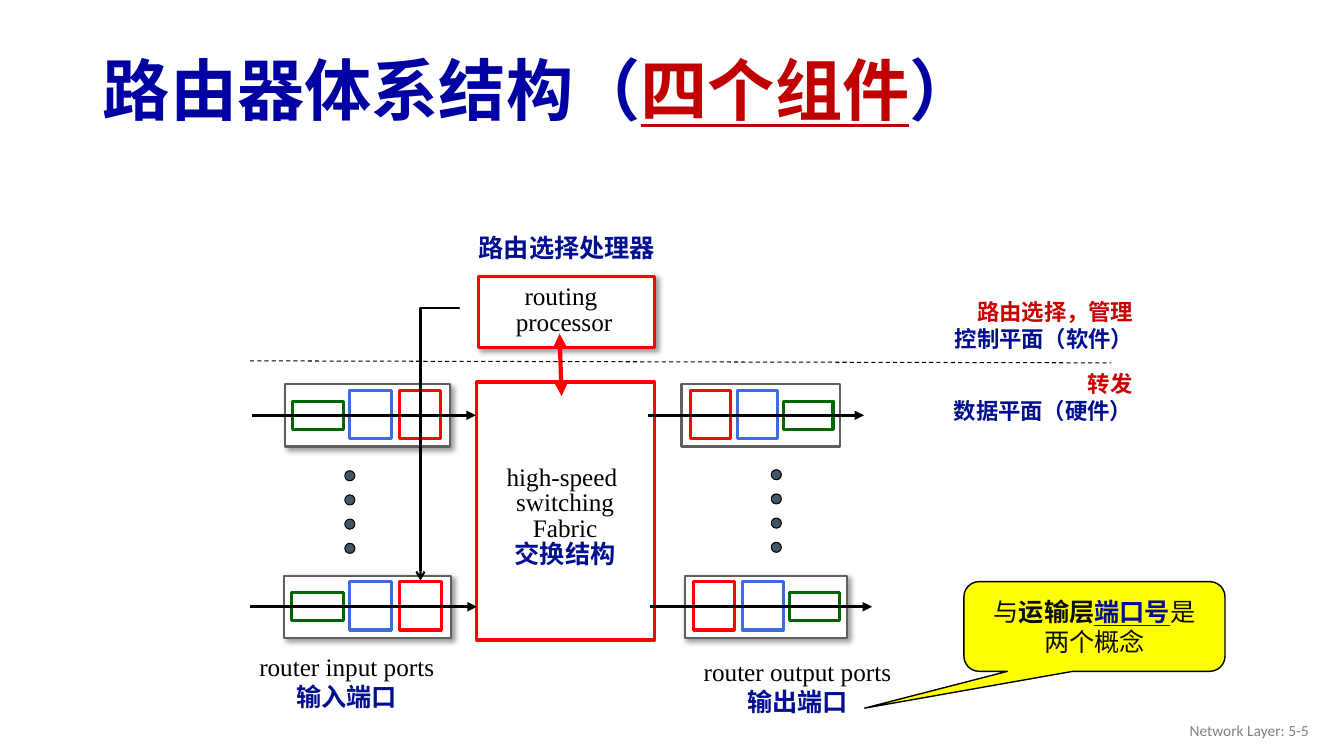
from lxml.etree import SubElement
from pptx import Presentation
from pptx.dml.color import RGBColor
from pptx.enum.dml import MSO_LINE
from pptx.enum.shapes import MSO_CONNECTOR as Link, MSO_SHAPE as Shape
from pptx.enum.text import MSO_ANCHOR as Anchor, PP_ALIGN as Align
from pptx.oxml.ns import qn
from pptx.util import Inches, Pt

COLORS = {
    "white": "FFFFFF", "black": "000000", "title": "0000A3", "accent": "C00000",
    "navy": "010F90", "crimson": "CC0000", "red": "FF0000", "blue": "3C6CDF",
    "green": "006600", "frame": "5F5F5F", "dot": "44546A", "yellow": "FFFF00",
    "ink": "0D0D0D", "footer": "808080",
}


def color(name):
    return RGBColor.from_string(COLORS[name])


class RouterPage:
    def __init__(self, deck):
        self.page = deck.slides.add_slide(deck.slide_layouts[5])
        self.shapes = self.page.shapes
        self.font = "Times New Roman"

    def add_lines(self, frame, lines, size, align=Align.CENTER, spacing=None, font=None):
        for index, line in enumerate(lines):
            para = frame.paragraphs[0] if index == 0 else frame.add_paragraph()
            para.alignment = align
            if spacing:
                para.line_spacing = spacing
            for text, ink, bold, underline in line:
                span = para.add_run()
                span.text = text
                span.font.name = font or self.font
                span.font.size = Pt(size)
                span.font.bold = bold
                span.font.underline = underline
                span.font.color.rgb = color(ink)

    def title(self, line):
        box = self.shapes.title
        box.left, box.top = Inches(0.92), Inches(0.44)
        box.width, box.height = Inches(11.5), Inches(0.98)
        box.text_frame.vertical_anchor = Anchor.MIDDLE
        self.add_lines(box.text_frame, [line], 48, Align.LEFT, 0.9, "Arial")

    def text(self, left, top, width, height, lines, size=18, align=Align.CENTER,
             spacing=None, wrap=False, anchor=Anchor.TOP, font=None):
        box = self.shapes.add_textbox(*map(Inches, (left, top, width, height)))
        box.text_frame.word_wrap = wrap
        box.text_frame.vertical_anchor = anchor
        self.add_lines(box.text_frame, lines, size, align, spacing, font)

    def shape(self, kind, left, top, width, height, fill, line, weight, shadow=False):
        box = self.shapes.add_shape(kind, *map(Inches, (left, top, width, height)))
        box.fill.solid()
        box.fill.fore_color.rgb = color(fill)
        box.line.color.rgb = color(line)
        box.line.width = Pt(weight)
        box.shadow.inherit = False
        if shadow:
            effects = box._element.spPr.find(qn("a:effectLst"))
            outer = SubElement(effects, qn("a:outerShdw"), blurRad=str(Pt(4)),
                               dist=str(Pt(3)), dir="2700000", algn="tl", rotWithShape="0")
            tint = SubElement(outer, qn("a:srgbClr"), val=COLORS["black"])
            SubElement(tint, qn("a:alpha"), val="40000")
        return box

    def rect(self, left, top, width, height, line, weight=2.25, shadow=False):
        self.shape(Shape.RECTANGLE, left, top, width, height, "white", line, weight, shadow)

    def line(self, start, end, weight, ink="black", head=None, tail=None,
             dash=None, kind=Link.STRAIGHT):
        link = self.shapes.add_connector(kind, *map(Inches, (*start, *end)))
        link.line.color.rgb = color(ink)
        link.line.width = Pt(weight)
        if dash:
            link.line.dash_style = dash
        properties = link._element.spPr
        stroke = properties.find(qn("a:ln"))
        for tag, arrow in (("a:headEnd", head), ("a:tailEnd", tail)):
            if arrow:
                SubElement(stroke, qn(tag), type=arrow)
        SubElement(properties, qn("a:effectLst"))
        return link

    def elbow(self, start, end, tail):
        link = self.line(start, end, 1.5, tail=tail, kind=Link.ELBOW)
        properties = link._element.spPr
        properties.find(qn("a:xfrm")).set("rot", "5400000")
        geometry = properties.find(qn("a:prstGeom"))
        guides = geometry.find(qn("a:avLst"))
        if guides is None:
            guides = SubElement(geometry, qn("a:avLst"))
        SubElement(guides, qn("a:gd"), name="adj1", fmla="val -100")

    def port(self, left, top, width, arrow_start, arrow_end, output=False, shadow=True):
        self.rect(left, top, width, 0.62, "frame", 1.5, shadow)
        scale = width / 1.63
        stages = (("green", 0.07, 0.17, 0.51, 0.28),
                  ("blue", 0.64, 0.06, 0.41, 0.48),
                  ("red", 1.13, 0.06, 0.41, 0.48))
        for ink, across, down, stage_width, height in stages:
            if output:
                across = 1.63 - across - stage_width
            self.rect(left + across * scale, top + down, stage_width * scale, height, ink)
        middle = top + 0.31
        self.line((arrow_start, middle), (arrow_end, middle), 2.25, tail="triangle")

    def dots(self, left, top):
        for index in range(4):
            self.shape(Shape.OVAL, left, top + 0.24 * index, 0.1, 0.1, "dot", "black", 0.75)

    def callout(self, left, top, width, height, lines):
        box = self.shape(Shape.ROUNDED_RECTANGULAR_CALLOUT, left, top, width, height,
                         "yellow", "black", 1)
        for index, value in enumerate((-0.88, 0.91, 0.17)):
            box.adjustments[index] = value
        box.text_frame.word_wrap = True
        box.text_frame.vertical_anchor = Anchor.MIDDLE
        self.add_lines(box.text_frame, lines, 18)


def plain(text, ink="black"):
    return [(text, ink, False, False)]


def strong(text, ink="navy"):
    return [(text, ink, True, False)]


def main():
    deck = Presentation()
    deck.slide_width, deck.slide_height = Inches(13.33), Inches(7.5)
    router = RouterPage(deck)

    router.text(10.08, 7.05, 3, 0.4, [plain("Network Layer: 5-5", "footer")], 11,
                Align.RIGHT, wrap=True, anchor=Anchor.MIDDLE, font="Calibri")
    router.title([("路由器体系结构（", "title", True, False),
                  ("四个组件", "accent", True, True),
                  ("）", "title", True, False)])

    router.rect(4.73, 3.79, 1.76, 2.56, "red")
    router.text(4.92, 4.57, 1.37, 1.13,
                [plain("high-speed "), plain("switching"), plain("Fabric"),
                 strong("交换结构")], spacing=0.85)
    router.rect(4.75, 2.74, 1.74, 0.71, "red", shadow=True)
    router.text(5.01, 2.78, 1.17, 0.62, [plain("routing "), plain("processor")], spacing=0.85)
    router.line((5.55, 3.31), (5.57, 3.93), 3, "red", "triangle", "triangle")

    router.port(2.83, 3.81, 1.63, 2.5, 4.72)
    router.port(2.82, 5.71, 1.65, 2.48, 4.73)
    router.dots(3.42, 4.67)
    router.text(2.46, 6.41, 1.96, 0.71, [plain("router input ports"), strong("输入端口")])

    router.port(6.76, 3.81, 1.57, 6.43, 8.57, output=True, shadow=False)
    router.port(6.79, 5.71, 1.61, 6.45, 8.65, output=True)
    router.dots(7.65, 4.66)
    router.text(6.87, 6.46, 2.08, 0.71, [plain("router output ports"), strong("输出端口")])

    router.line((2.48, 3.58), (11.02, 3.6), 0.75, dash=MSO_LINE.DASH)
    router.text(8.94, 3.62, 2.39, 0.64, [strong("转发", "crimson"), strong("数据平面（硬件）")],
                16, Align.RIGHT, wrap=True)
    router.text(8.19, 2.91, 3.15, 0.64,
                [strong("路由选择，管理", "crimson"), strong("控制平面（软件）")],
                16, Align.RIGHT, wrap=True)
    router.elbow((3.01, 4.22), (5.71, 4.6), "arrow")
    router.text(4.65, 2.26, 1.97, 0.4, [strong("路由选择处理器")], align=Align.LEFT)
    router.callout(9.56, 5.77, 2.59, 0.89, [
        [*plain("与", "ink"), *strong("运输层", "ink"),
         ("端口号", "navy", True, True), *plain("是", "ink")],
        plain("两个概念", "ink")])

    deck.save("out.pptx")


if __name__ == "__main__":
    main()
